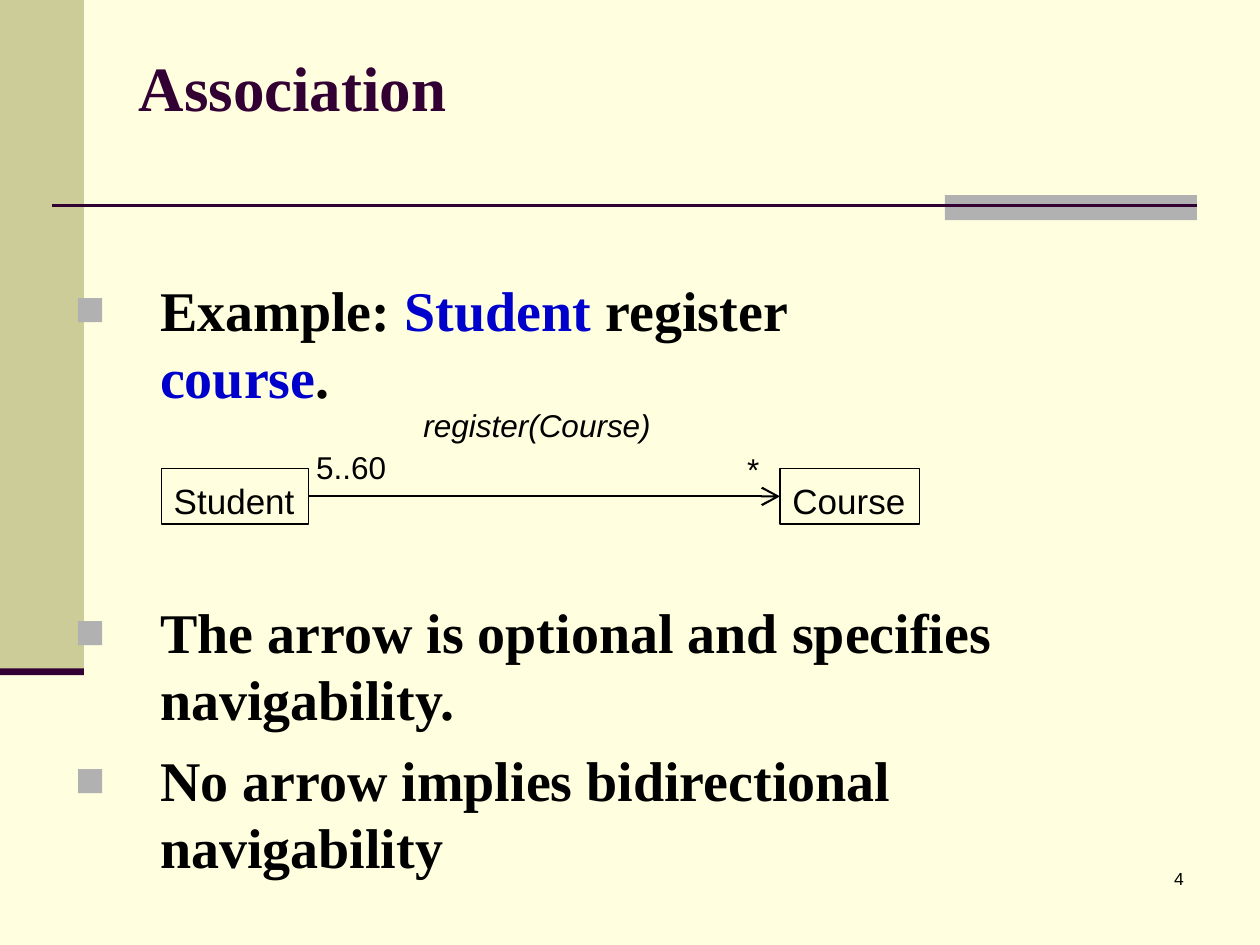
from dataclasses import dataclass

from lxml import etree
from pptx import Presentation
from pptx.dml.color import RGBColor
from pptx.enum import shapes, text
from pptx.oxml import ns
from pptx.util import Pt

CREAM = RGBColor(0xFF, 0xFF, 0xE0)
OLIVE = RGBColor(0xCC, 0xCC, 0x99)
GREY = RGBColor(0xB1, 0xB1, 0xB1)
PLUM = RGBColor(0x33, 0x00, 0x33)
BLUE = RGBColor(0x00, 0x00, 0xCC)
BLACK = RGBColor(0x00, 0x00, 0x00)
SERIF, SANS = "Times New Roman", "Arial"
BULLET_INDENT = 48.6


@dataclass(frozen=True)
class Bar:
    left: float
    top: float
    width: float
    height: float
    color: RGBColor


@dataclass(frozen=True)
class Label:
    wording: str
    left: float
    top: float
    width: float
    height: float
    size: float = 18
    font: str = SANS
    color: RGBColor = BLACK
    bold: bool = False
    italic: bool = False
    inset_left: float = 0.7
    inset_top: float = 1.7


@dataclass(frozen=True)
class BulletBlock:
    top: float
    width: float
    height: float
    # each bullet is a tuple of (wording, colour) pieces
    bullets: tuple


BARS = (
    Bar(0, 0, 48, 384, OLIVE),
    Bar(540, 111.5, 144, 14.4, GREY),
    Bar(0, 382, 48, 3.8, PLUM),
)

LABELS = (
    Label("4", 670.3, 494.6, 7.2, 13.7, size=10),
    Label("Association", 6.5, 5, 674, 96.5, size=36, font=SERIF, color=PLUM,
          bold=True, inset_left=72.7, inset_top=22.6),
    Label("register(Course)", 241.2, 230.4, 132, 23.8, italic=True),
    Label("5..60", 180, 254.2, 42, 23.8),
    Label("*", 426.2, 255.6, 9.4, 23.8),
)

STUDENT = Label("Student", 92.2, 267.8, 84.2, 31.7, size=20,
                inset_left=7.2, inset_top=6)
COURSE = Label("Course", 445.7, 267.8, 79.9, 31.7, size=20,
               inset_left=7.2, inset_top=6)

BLOCKS = (
    BulletBlock(155.5, 514, 40.3, (
        (("Example: ", BLACK), ("Student ", BLUE), ("register ", BLACK),
         ("course", BLUE), (".", BLACK)),
    )),
    BulletBlock(339.8, 638.6, 125.3, (
        (("The arrow is optional and specifies navigability.", BLACK),),
        (("No arrow implies bidirectional navigability", BLACK),),
    )),
)


def set_frame(frame, left: float, top: float, right: float = 0) -> None:
    frame.word_wrap = True
    frame.vertical_anchor = text.MSO_ANCHOR.TOP
    frame.margin_left, frame.margin_top = Pt(left), Pt(top)
    frame.margin_right, frame.margin_bottom = Pt(right), Pt(0)


def write_label(shape, label: Label) -> None:
    set_frame(shape.text_frame, label.inset_left, label.inset_top)
    paragraph = shape.text_frame.paragraphs[0]
    paragraph.text = label.wording
    paragraph.alignment = text.PP_ALIGN.LEFT
    font = paragraph.font
    font.name, font.size = label.font, Pt(label.size)
    font.bold, font.italic = label.bold, label.italic
    font.color.rgb = label.color


def add_label(slide, label: Label) -> None:
    box = slide.shapes.add_textbox(
        Pt(label.left), Pt(label.top), Pt(label.width), Pt(label.height))
    write_label(box, label)


def add_rectangle(slide, area: Bar | Label):
    rectangle = slide.shapes.add_shape(
        shapes.MSO_SHAPE.RECTANGLE,
        Pt(area.left), Pt(area.top), Pt(area.width), Pt(area.height))
    rectangle.shadow.inherit = False
    return rectangle


def add_bar(slide, bar: Bar) -> None:
    rectangle = add_rectangle(slide, bar)
    rectangle.fill.solid()
    rectangle.fill.fore_color.rgb = bar.color
    rectangle.line.fill.background()


def add_class_box(slide, label: Label):
    rectangle = add_rectangle(slide, label)
    rectangle.fill.background()
    rectangle.line.color.rgb = BLACK
    rectangle.line.width = Pt(0.75)
    write_label(rectangle, label)
    return rectangle


def add_line(slide, x1: float, y1: float, x2: float, y2: float,
             color: RGBColor, width: float):
    line = slide.shapes.add_connector(
        shapes.MSO_CONNECTOR.STRAIGHT, Pt(x1), Pt(y1), Pt(x2), Pt(y2))
    line.line.color.rgb = color
    line.line.width = Pt(width)
    etree.SubElement(line._element.spPr, ns.qn("a:effectLst"))
    return line


def set_bullet(paragraph) -> None:
    properties = paragraph._p.get_or_add_pPr()
    properties.set("marL", str(Pt(BULLET_INDENT)))
    properties.set("indent", str(-Pt(BULLET_INDENT)))
    color = etree.SubElement(properties, ns.qn("a:buClr"))
    etree.SubElement(color, ns.qn("a:srgbClr"), val=str(GREY))
    etree.SubElement(properties, ns.qn("a:buSzPct"), val="89000")
    etree.SubElement(properties, ns.qn("a:buFont"), typeface=SANS)
    etree.SubElement(properties, ns.qn("a:buChar"), char="■")


def add_bullets(slide, block: BulletBlock) -> None:
    box = slide.shapes.add_textbox(
        Pt(42.5), Pt(block.top), Pt(block.width), Pt(block.height))
    frame = box.text_frame
    set_frame(frame, 0.4, 1.7, right=36)
    for index, pieces in enumerate(block.bullets):
        paragraph = frame.add_paragraph() if index else frame.paragraphs[0]
        if index:
            paragraph.space_before = Pt(7.8)
        set_bullet(paragraph)
        font = paragraph.font
        font.name, font.size, font.bold = SERIF, Pt(32), True
        for wording, color in pieces:
            run = paragraph.add_run()
            run.text = wording
            run.font.color.rgb = color


def main() -> None:
    presentation = Presentation()
    presentation.slide_width, presentation.slide_height = Pt(720), Pt(540)
    slide = presentation.slides.add_slide(presentation.slide_layouts[6])

    # Background and decoration
    slide.background.fill.solid()
    slide.background.fill.fore_color.rgb = CREAM
    for bar in BARS:
        add_bar(slide, bar)
    add_line(slide, 30, 117.6, 684, 117.6, PLUM, 1.5)

    # Title, page number, diagram labels and bullets
    for label in LABELS:
        add_label(slide, label)
    for block in BLOCKS:
        add_bullets(slide, block)

    # Association between the two classes
    student = add_class_box(slide, STUDENT)
    course = add_class_box(slide, COURSE)
    association = add_line(slide, 176.4, 283.7, 445.7, 283.7, BLACK, 1.25)
    association.begin_connect(student, 3)
    association.end_connect(course, 1)
    etree.SubElement(association.line._get_or_add_ln(), ns.qn("a:tailEnd"),
                     type="arrow", w="lg", len="lg")

    presentation.save("out.pptx")


if __name__ == "__main__":
    main()
